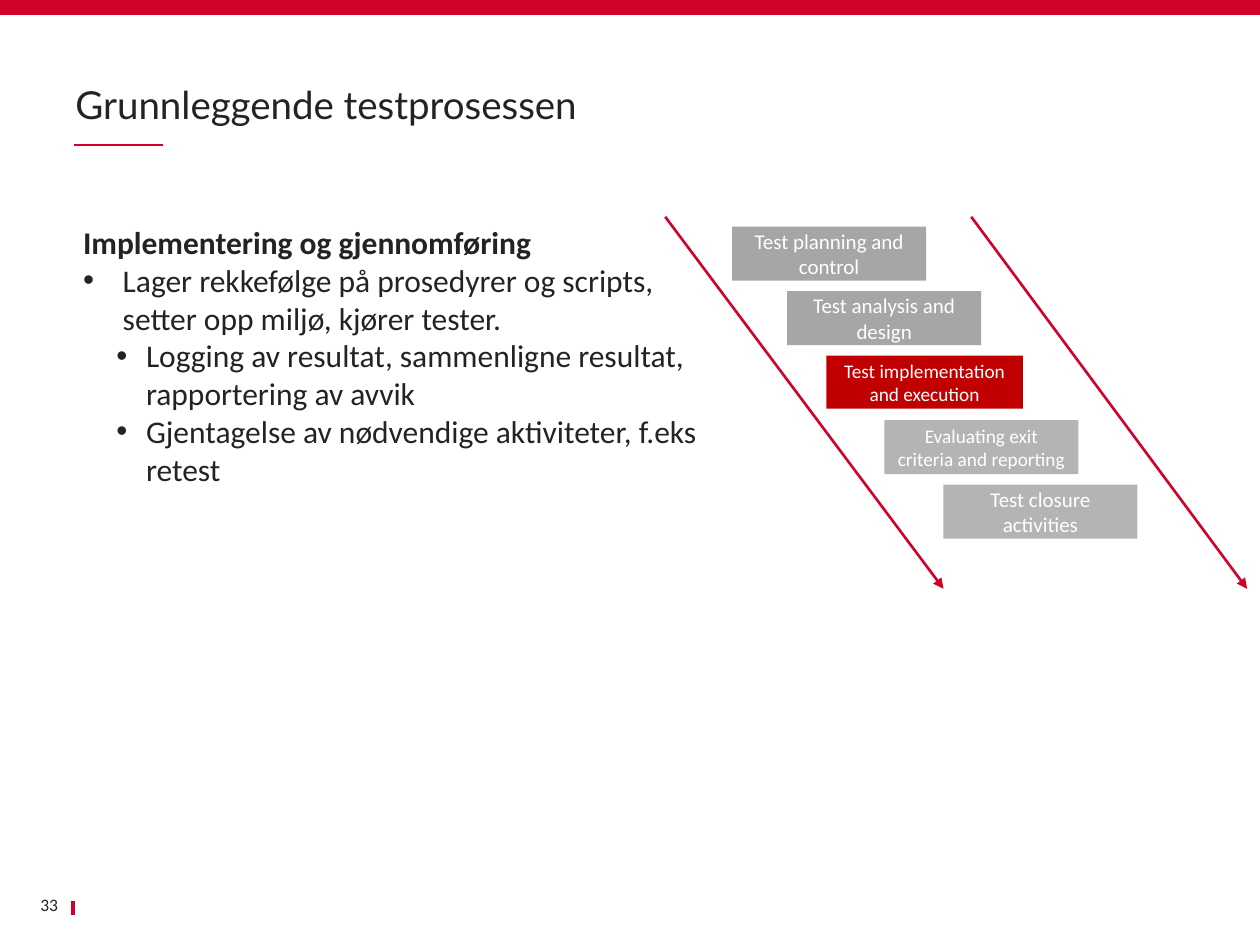
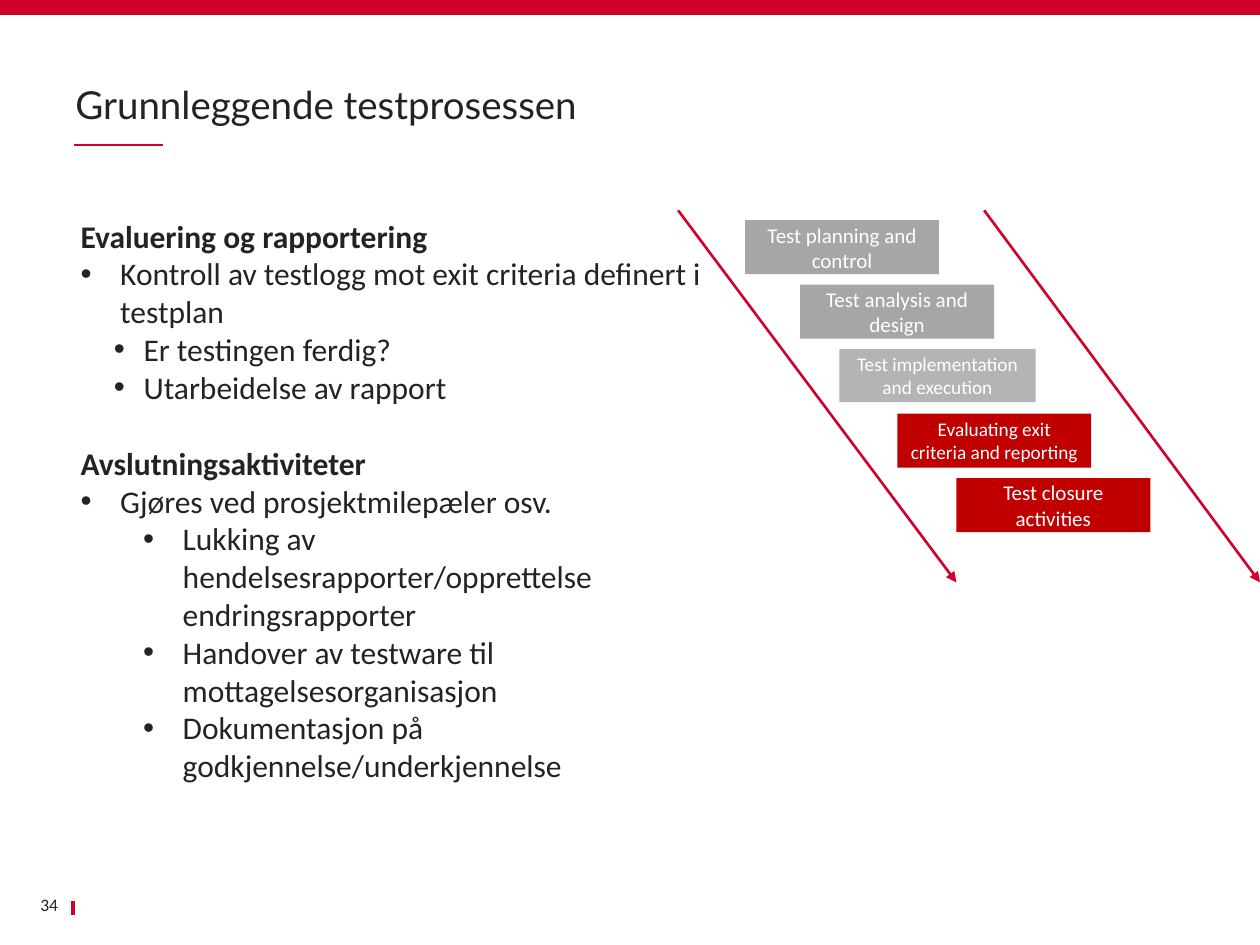
from lxml import etree
from pptx import Presentation
from pptx.dml.color import RGBColor
from pptx.enum import shapes, text
from pptx.oxml import ns
from pptx.util import Cm, Pt

RED, MARK, INK = "CF022B", "C00000", "232323"
DARK, PALE, WHITE = "A6A6A6", "B4B5B3", "FFFFFF"
TITLE = "Grunnleggende testprosessen"
LEFT, CENTER, RIGHT = (text.PP_ALIGN.LEFT, text.PP_ALIGN.CENTER,
                       text.PP_ALIGN.RIGHT)

# Process steps: label, left offset, width, height, size, fill when not marked
STEPS = [
    ("Test planning and control", 1.35, 3.91, 1.09, 12, DARK),
    ("Test analysis and design", 2.46, 3.91, 1.09, 12, DARK),
    ("Test implementation and execution", 3.25, 3.96, 1.07, 11, PALE),
    ("Evaluating exit criteria and reporting", 4.42, 3.91, 1.09, 11, PALE),
    ("Test closure activities", 5.61, 3.91, 1.09, 12, PALE),
]

# List styles: outline level, left margin, first-line indent
STYLES = {"head": (0, 0, 0), "item": (0, 0.8, -0.8),
          "sub": (1, 1.27, -0.6), "deep": (1, 2.06, -0.8)}

# Slides: body box, list, flow corner, marked steps
PAGES = [
    ((1.42, 4.37, 13.54, 5.64), [
        ("head", "Implementering og gjennomføring"),
        ("item", "Lager rekkefølge på prosedyrer og scripts, "
                 "setter opp miljø, kjører tester."),
        ("sub", "Logging av resultat, sammenligne resultat, "
                "rapportering av avvik"),
        ("sub", "Gjentagelse av nødvendige aktiviteter, f.eks retest"),
    ], (13.41, 4.37), {2}),
    ((1.37, 4.24, 13.54, 11.79), [
        ("head", "Evaluering og rapportering"),
        ("item", "Kontroll av testlogg mot exit criteria definert i testplan"),
        ("sub", "Er testingen ferdig?"),
        ("sub", "Utarbeidelse av rapport"),
        ("head", "Avslutningsaktiviteter"),
        ("item", "Gjøres ved prosjektmilepæler osv."),
        ("deep", "Lukking av hendelsesrapporter/opprettelse endringsrapporter"),
        ("deep", "Handover av testware til mottagelsesorganisasjon"),
        ("deep", "Dokumentasjon på godkjennelse/underkjennelse"),
    ], (13.67, 4.24), {3, 4}),
]


def color(code):
    return RGBColor.from_string(code)


def style(para, size, code=INK, align=LEFT, face="Calibri", bold=False):
    para.alignment = align
    font = para.font
    font.name, font.size, font.bold = face, Pt(size), bold
    font.color.rgb = color(code)


def place(shape, box):
    shape.left, shape.top, shape.width, shape.height = map(Cm, box)


def rect(parts, box, fill):
    shape = parts.add_shape(shapes.MSO_SHAPE.RECTANGLE, *map(Cm, box))
    shape.shadow.inherit = False
    shape.fill.solid()
    shape.fill.fore_color.rgb = color(fill)
    shape.line.fill.background()
    return shape


def line(parts, ends, width, arrow=False):
    link = parts.add_connector(shapes.MSO_CONNECTOR.STRAIGHT, *map(Cm, ends))
    link.line.color.rgb = color(RED)
    link.line.width = Pt(width)
    if arrow:
        etree.SubElement(link.line._get_or_add_ln(), ns.qn("a:tailEnd"),
                         type="triangle")
    etree.SubElement(link._element.spPr, ns.qn("a:effectLst"))


def frame(slide, number):
    """Top band, title with its rule, and page number."""
    parts = slide.shapes
    rect(parts, (0, 0, 25.4, 0.3), RED)
    line(parts, (1.5, 2.92, 3.28, 2.92), 1)
    line(parts, (1.47, 18.16, 1.47, 18.44), 2.25)

    title = parts.title
    place(title, (1.52, 0.53, 22.35, 2.18))
    body = title.text_frame
    body.text = TITLE
    body.auto_size = text.MSO_AUTO_SIZE.NONE
    body.vertical_anchor = text.MSO_ANCHOR.BOTTOM
    body.margin_left = body.margin_right = 0
    body.paragraphs[0].line_spacing = 0.9
    style(body.paragraphs[0], 22, face="Lato")

    page = parts.add_textbox(*map(Cm, (0.51, 17.93, 0.91, 0.61))).text_frame
    page.word_wrap = True
    page.vertical_anchor = text.MSO_ANCHOR.MIDDLE
    page.text = str(number)
    style(page.paragraphs[0], 10, align=RIGHT)


def notes(slide, box, items):
    """Headings and bullets in the body placeholder."""
    holder = slide.placeholders[1]
    place(holder, box)
    body = holder.text_frame
    body.auto_size = text.MSO_AUTO_SIZE.NONE
    body.text = "\n".join(label for _, label in items)
    for i, (para, (kind, _)) in enumerate(zip(body.paragraphs, items)):
        para.level, margin, indent = STYLES[kind]
        props = para._p.get_or_add_pPr()
        props.set("marL", str(Cm(margin)))
        props.set("indent", str(Cm(indent)))
        head = kind == "head"
        if head:
            etree.SubElement(props, ns.qn("a:buNone"))
        else:
            etree.SubElement(props, ns.qn("a:buFont"), typeface="Arial")
            etree.SubElement(props, ns.qn("a:buChar"), char="•")
        para.space_before = Pt(21.8 if head and i else 0)
        style(para, 18, bold=head)


def flow(slide, corner, marked):
    """Staircase of steps between two slanted arrows."""
    x, y = corner
    parts = slide.shapes.add_group_shape().shapes
    for i, (label, dx, wide, high, size, fill) in enumerate(STEPS):
        step = rect(parts, (x + dx, y + 0.2 + 1.3 * i, wide, high),
                    MARK if i in marked else fill)
        body = step.text_frame
        body.word_wrap = True
        body.vertical_anchor = text.MSO_ANCHOR.MIDDLE
        body.text = label
        style(body.paragraphs[0], size, WHITE, CENTER)
    for start, end in ((0, 5.61), (6.17, 11.73)):
        line(parts, (x + start, y, x + end, y + 7.5), 1.5, arrow=True)


def main():
    deck = Presentation()
    deck.slide_width, deck.slide_height = Cm(25.4), Cm(19.05)
    for number, (box, items, corner, marked) in enumerate(PAGES, 33):
        slide = deck.slides.add_slide(deck.slide_layouts[1])
        frame(slide, number)
        notes(slide, box, items)
        flow(slide, corner, marked)
    deck.save("out.pptx")


if __name__ == "__main__":
    main()
